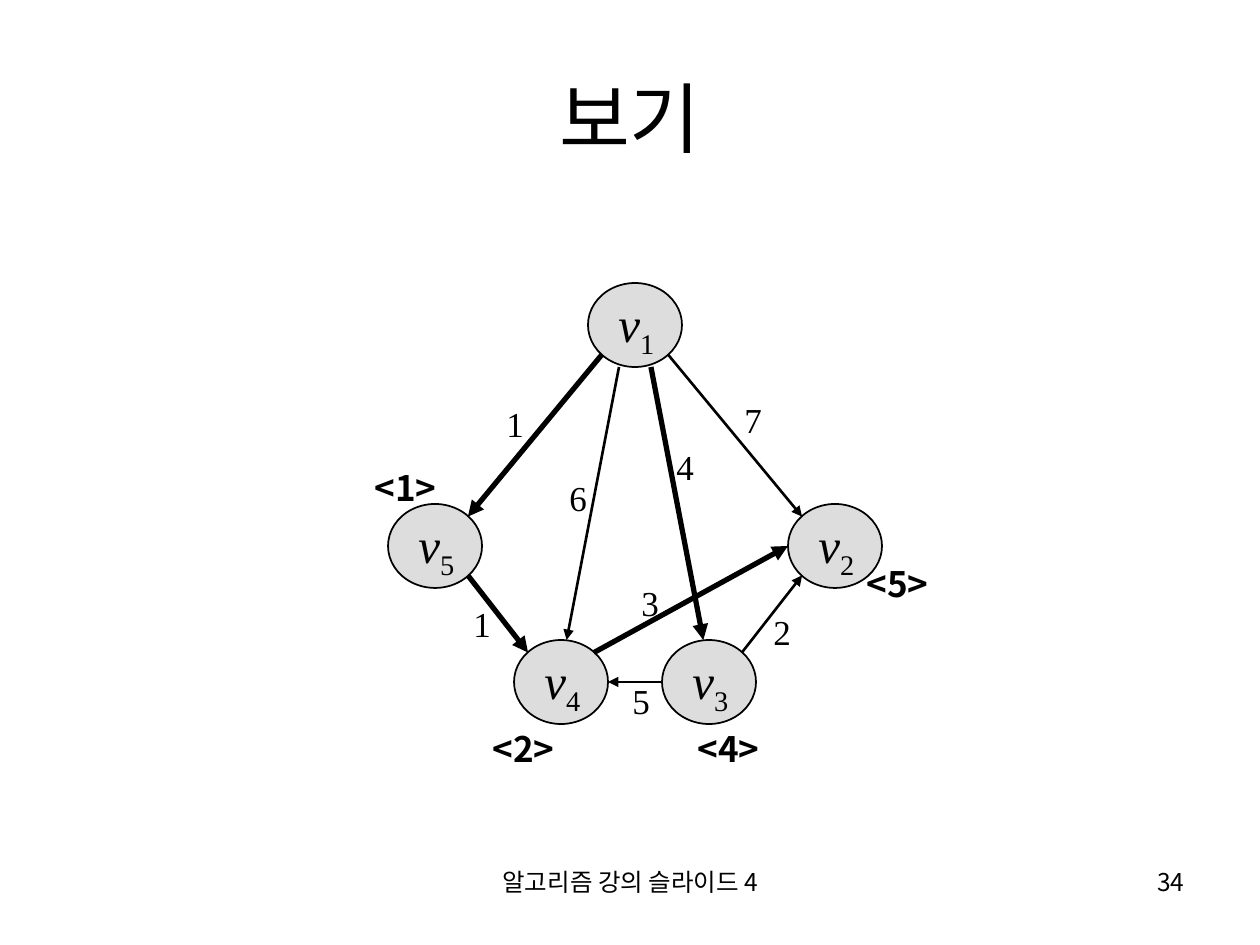
from lxml.etree import SubElement
from pptx import Presentation
from pptx.dml.color import RGBColor
from pptx.enum.shapes import MSO_CONNECTOR as CONNECTOR, MSO_SHAPE as SHAPE
from pptx.enum.text import MSO_ANCHOR as ANCHOR, MSO_AUTO_SIZE as AUTO, PP_ALIGN as ALIGN
from pptx.oxml.ns import qn
from pptx.util import Inches, Pt

SCALE = Inches(1) / 126
COLORS = {"ink": "000000", "node": "DDDDDD"}
SANS = "Noto Sans CJK KR"
SERIF = "Times New Roman"

NODE_SIZE = (94, 84)
NODES = {"1": (588, 283), "2": (788, 504), "3": (662, 640), "4": (514, 640), "5": (388, 504)}
PORTS = {
    "NW": (0.15, 0.15), "NE": (0.85, 0.15), "SW": (0.15, 0.85), "SE": (0.85, 0.85),
    "W": (0, 0.5), "E": (1, 0.5),
    "S left": (0.33, 1), "S right": (0.67, 1), "N left": (0.44, 0), "N right": (0.56, 0),
}
THIN, THICK = 1.5, 3
EDGES = [
    ("1", "SE", "2", "NW", THIN),
    ("1", "SW", "5", "NE", THICK),
    ("5", "SE", "4", "NW", THICK),
    ("3", "NE", "2", "SW", THIN),
    ("3", "W", "4", "E", THIN),
    ("1", "S left", "4", "N right", THIN),
    ("1", "S right", "3", "N left", THICK),
    ("4", "NE", "2", "W", THICK),
]
WEIGHTS = [
    ("1", 494, 401), ("1", 461, 601), ("7", 732, 397), ("6", 557, 475),
    ("4", 664, 444), ("3", 629, 580), ("5", 620, 678), ("2", 761, 609),
]
DISTANCES = [("<1>", 362, 465), ("<2>", 480, 726), ("<4>", 685, 726), ("<5>", 854, 561)]


def px(*lengths):
    return [round(length * SCALE) for length in lengths]


def color(name):
    return RGBColor.from_string(COLORS[name])


def style(paragraph, size, face, bold=False):
    font = paragraph.font
    font.size = Pt(size)
    font.bold = bold
    font.color.rgb = color("ink")
    font.name = face
    SubElement(paragraph._p.pPr.defRPr, qn("a:ea"), typeface=face)


def add_title(slide, text):
    title = slide.shapes.title
    title.left, title.top, title.width, title.height = px(63, 38, 1134, 157)
    frame = title.text_frame
    frame.text = text
    frame.auto_size = AUTO.NONE
    frame.vertical_anchor = ANCHOR.MIDDLE
    paragraph = frame.paragraphs[0]
    paragraph.alignment = ALIGN.CENTER
    style(paragraph, 44, SANS)


def add_label(slide, box, text, size, face, align=ALIGN.LEFT, bold=False, wrap=True, spacing=0.9):
    frame = slide.shapes.add_textbox(*px(*box)).text_frame
    frame.word_wrap = wrap
    frame.auto_size = AUTO.NONE if wrap else AUTO.SHAPE_TO_FIT_TEXT
    paragraph = frame.paragraphs[0]
    paragraph.alignment = align
    paragraph.line_spacing = spacing
    style(paragraph, size, face, bold)
    if text:
        paragraph.add_run().text = text
    return paragraph


def add_node(slide, index):
    left, top = NODES[index]
    node = slide.shapes.add_shape(SHAPE.OVAL, *px(left, top, *NODE_SIZE))
    node.shadow.inherit = False
    node.fill.solid()
    node.fill.fore_color.rgb = color("node")
    node.line.color.rgb = color("ink")
    node.line.width = Pt(1)

    name = add_label(slide, (left + 18, top + 5, 64, 73), "", 28, SERIF, wrap=False)
    letter = name.add_run()
    letter.text = "v"
    letter.font.italic = True
    subscript = name.add_run()
    subscript.text = index
    subscript._r.get_or_add_rPr().set("baseline", "-25000")


def port(index, side):
    return [start + size * share for start, size, share in zip(NODES[index], NODE_SIZE, PORTS[side])]


def add_edge(slide, source, source_side, target, target_side, weight):
    ends = px(*port(source, source_side), *port(target, target_side))
    edge = slide.shapes.add_connector(CONNECTOR.STRAIGHT, *ends)
    edge.line.color.rgb = color("ink")
    edge.line.width = Pt(weight)
    SubElement(edge.line._get_or_add_ln(), qn("a:tailEnd"), type="triangle")
    SubElement(edge._element.spPr, qn("a:effectLst"))


def main():
    deck = Presentation()
    deck.slide_width, deck.slide_height = px(1260, 945)
    slide = deck.slides.add_slide(deck.slide_layouts[5])

    add_label(slide, (431, 861, 399, 66), "알고리즘 강의 슬라이드 4", 14, SANS, ALIGN.CENTER, spacing=1.0)
    add_label(slide, (903, 861, 294, 66), "34", 14, SANS, ALIGN.RIGHT, spacing=1.0)
    add_title(slide, "보기")
    for index in NODES:
        add_node(slide, index)
    for edge in EDGES:
        add_edge(slide, *edge)
    for weight, left, top in WEIGHTS:
        add_label(slide, (left, top, 43, 50), weight, 20, SERIF, wrap=False)
    for distance, left, top in DISTANCES:
        add_label(slide, (left, top, 97, 50), distance, 20, SANS, bold=True)
    deck.save("out.pptx")


if __name__ == "__main__":
    main()
